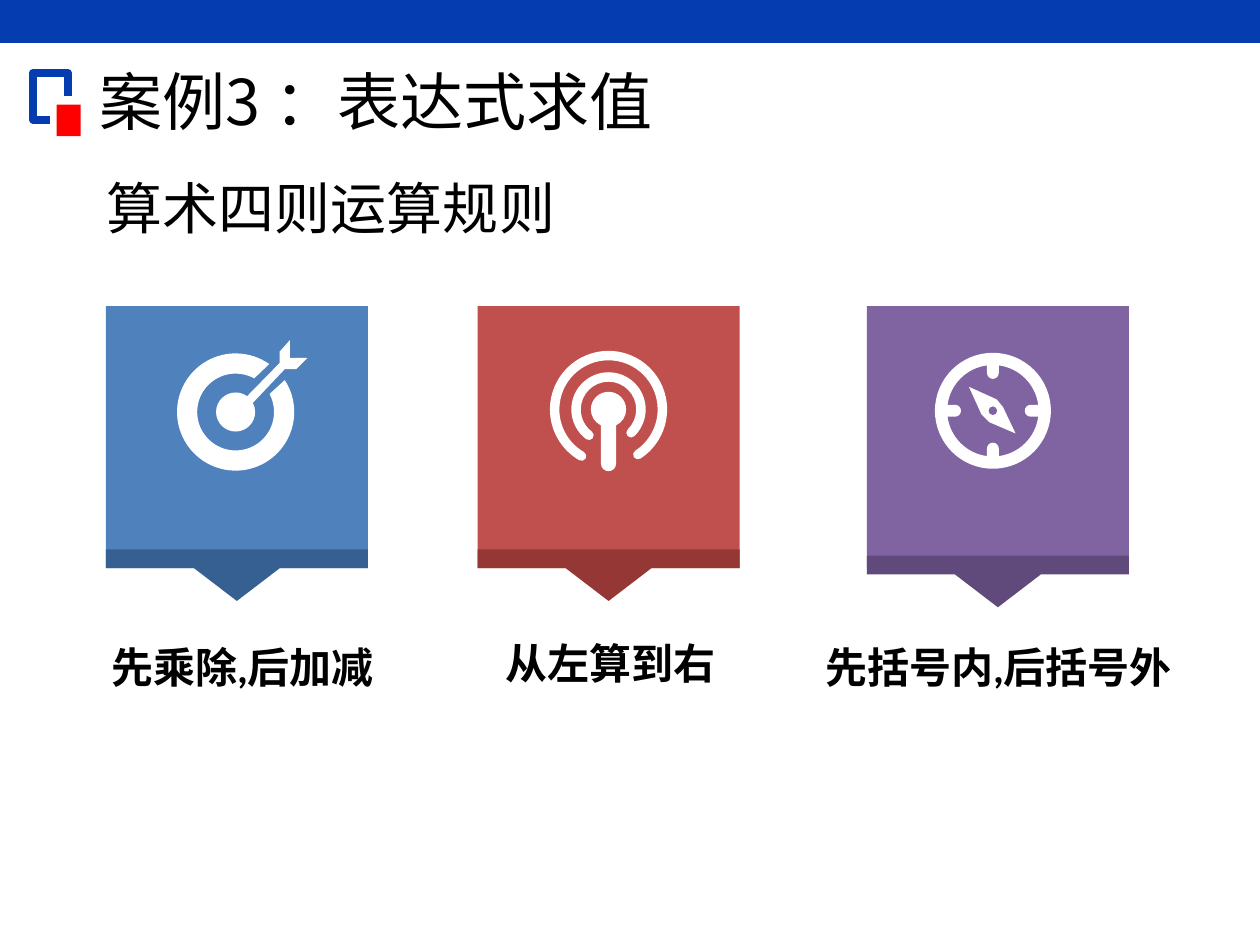
from math import ceil, cos, floor, radians, sin, tan

from lxml.etree import SubElement
from pptx import Presentation
from pptx.dml.color import RGBColor
from pptx.enum.shapes import MSO_SHAPE as Shape
from pptx.enum.text import MSO_ANCHOR as Anchor, MSO_AUTO_SIZE as AutoSize, PP_ALIGN as Align
from pptx.oxml.ns import qn
from pptx.util import Inches, Pt

WIDTH, HEIGHT = 10, 7.5
BLUE, RED, WHITE, BLACK = "053CAF", "FF0000", "FFFFFF", "000000"
CJK, LATIN = "Noto Sans CJK SC", "Calibri"

TITLE = "案例3 ：表达式求值"
SUBTITLE = "算术四则运算规则"
CARD_TOP, CARD_SIZE = 2.43, 2.08
# Icon centres are measured from the card's left edge and the slide's top.
CARDS = [
    dict(label="先乘除,后加减", left=0.84, face="4F81BD", ribbon="376092",
         ribbon_top=4.36, label_box=(0.75, 5.01, 2.35), icon="target", centre=(1.03, 3.27)),
    dict(label="从左算到右", left=3.79, face="C0504D", ribbon="953735",
         ribbon_top=4.36, label_box=(3.67, 4.98, 2.35), icon="broadcast", centre=(1.04, 3.25)),
    dict(label="先括号内,后括号外", left=6.88, face="8064A2", ribbon="604A7B",
         ribbon_top=4.41, label_box=(6.42, 5.01, 3.01), icon="compass", centre=(1.0, 3.26)),
]


def rgb(value):
    return RGBColor.from_string(value)


def arc(radius, start, end, x=0, y=0):
    """A start point, then Bezier nodes (two controls and an end) split at each quarter turn."""
    low, high = sorted((start, end))
    quarters = range(90 * (floor(low / 90) + 1), 90 * ceil(high / 90), 90)
    stops = sorted([low, *quarters, high], reverse=end < start)

    def on_circle(angle, pull=0):
        a = radians(angle)
        return (x + radius * (cos(a) - pull * sin(a)), y + radius * (sin(a) + pull * cos(a)))

    nodes = [on_circle(start)]
    for a, b in zip(stops, stops[1:]):
        pull = 4 / 3 * tan(radians(b - a) / 4)
        nodes.append(on_circle(a, pull) + on_circle(b, -pull) + on_circle(b))
    return nodes


def pairs(node):
    return list(zip(node[::2], node[1::2]))


def rotate(nodes, degrees):
    c, s = cos(radians(degrees)), sin(radians(degrees))
    return [tuple(v for x, y in pairs(node) for v in (x * c - y * s, x * s + y * c))
            for node in nodes]


def round_band(outer, inner, start, end):
    """A ring segment with rounded ends."""
    middle, cap = (outer + inner) / 2, (outer - inner) / 2
    end_cap = rotate(arc(cap, 0, 180, middle), end)
    start_cap = rotate(arc(cap, 180, 360, middle), start)
    return arc(outer, start, end) + end_cap[1:] + arc(inner, end, start)[1:] + start_cap[1:]


def target():
    ring = arc(0.465, 55, 393) + arc(0.305, 388, 61)
    arrow = [(0.39, 0.34), (0.48, 0.34), (0.57, 0.43), (0.43, 0.43),
             (0.43, 0.57), (0.35, 0.48), (0.35, 0.39)]
    return [ring, arc(0.155, 54, 388) + arrow]


def broadcast():
    microphone = arc(0.14, -64, 244) + arc(0.06, 180, 360, y=-0.43)
    return [round_band(0.465, 0.39, -57, 240), round_band(0.295, 0.22, -46, 233), microphone]


def compass():
    quarter = arc(0.047, 270, 90, x=0.3) + arc(0.363, 7.5, 82.5)
    dial = [node for turn in range(0, 360, 90) for node in rotate(quarter, turn)]
    needle = [(-0.19, 0.19), (0.03, 0.09), (0.08, 0.03),
              (0.18, -0.18), (-0.03, -0.09), (-0.09, -0.03)]
    return [arc(0.46, 0, 360), dial, needle, arc(0.035, 0, 360)]


ICONS = {"target": target, "broadcast": broadcast, "compass": compass}


def paint(shape, fill):
    shape.shadow.inherit = False
    shape.fill.solid()
    shape.fill.fore_color.rgb = rgb(fill)
    shape.line.fill.background()


def add_block(slide, left, top, width, height, fill):
    block = slide.shapes.add_shape(Shape.RECTANGLE, *map(Inches, (left, top, width, height)))
    paint(block, fill)


def add_outline(slide, contours, close=True):
    """A freeform from contours of points and Bezier nodes, in inches on the slide."""
    builder, steps = None, []
    for contour in contours:
        first, *rest = [[(Inches(x), Inches(y)) for x, y in pairs(node)] for node in contour]
        if builder is None:
            builder = slide.shapes.build_freeform(*first[-1])
        else:
            builder.move_to(*first[-1])
        builder.add_line_segments([points[-1] for points in rest], close=close)
        steps += rest
    outline = builder.convert_to_shape()
    for segment, points in zip(list(outline._element.iter(qn("a:lnTo"))), steps):
        if len(points) == 3:
            segment.tag = qn("a:cubicBezTo")
            for position, (x, y) in enumerate(points[:2]):
                control = SubElement(segment, qn("a:pt"))
                control.set("x", str(x - outline.left))
                control.set("y", str(y - outline.top))
                segment.insert(position, control)
    return outline


def write(paragraph, text, size, latin, bold=False):
    run = paragraph.add_run()
    run.text = text
    font = run.font
    font.size, font.bold, font.name = Pt(size), bold, latin
    font.color.rgb = rgb(BLACK)
    SubElement(font._element, qn("a:ea")).set("typeface", CJK)


def add_text(slide, box, text, size, bold=False):
    frame = slide.shapes.add_textbox(*map(Inches, box)).text_frame
    frame.word_wrap = True
    write(frame.paragraphs[0], text, size, LATIN, bold)
    return frame


def add_header(slide):
    add_block(slide, 0, 0, WIDTH, 0.34, BLUE)
    bracket = add_outline(
        slide, [[(0.4, 0.95), (0.26, 0.95), (0.26, 0.58), (0.54, 0.58), (0.54, 0.76)]], close=False)
    bracket.shadow.inherit = False
    bracket.fill.background()
    bracket.line.color.rgb = rgb(BLUE)
    bracket.line.width = Pt(4.5)
    add_block(slide, 0.45, 0.83, 0.19, 0.25, RED)

    title = slide.shapes.title
    title.left, title.top, title.width, title.height = map(Inches, (0.69, 0.5, 8.62, 0.67))
    frame = title.text_frame
    frame.auto_size, frame.vertical_anchor = AutoSize.NONE, Anchor.MIDDLE
    heading = frame.paragraphs[0]
    heading.alignment, heading.line_spacing = Align.LEFT, 0.9
    write(heading, TITLE, 36, CJK)
    add_text(slide, (0.75, 1.33, 4.5, 0.63), SUBTITLE, 32)


def add_card(slide, card):
    left, top = card["left"], card["ribbon_top"]
    right, middle = left + CARD_SIZE, left + CARD_SIZE / 2
    add_block(slide, left, CARD_TOP, CARD_SIZE, CARD_SIZE, card["face"])

    edge, tip, half = top + 0.15, top + 0.41, 0.34
    ribbon = [(left, top), (right, top), (right, edge), (middle + half, edge),
              (middle, tip), (middle - half, edge), (left, edge)]
    paint(add_outline(slide, [ribbon]), card["ribbon"])

    frame = add_text(slide, (*card["label_box"], 0.58), card["label"], 24, bold=True)
    frame.margin_left = frame.margin_right = frame.margin_top = frame.margin_bottom = 0
    frame.paragraphs[0].alignment = Align.CENTER
    frame.paragraphs[0].line_spacing = 1.2

    x0, y0 = left + card["centre"][0], card["centre"][1]
    contours = [[tuple(v for x, y in pairs(node) for v in (x0 + x, y0 - y)) for node in contour]
                for contour in ICONS[card["icon"]]()]
    paint(add_outline(slide, contours), WHITE)


def main():
    deck = Presentation()
    deck.slide_width, deck.slide_height = Inches(WIDTH), Inches(HEIGHT)
    slide = deck.slides.add_slide(deck.slide_layouts.get_by_name("Title Only"))
    add_header(slide)
    for card in CARDS:
        add_card(slide, card)
    deck.save("out.pptx")


if __name__ == "__main__":
    main()
